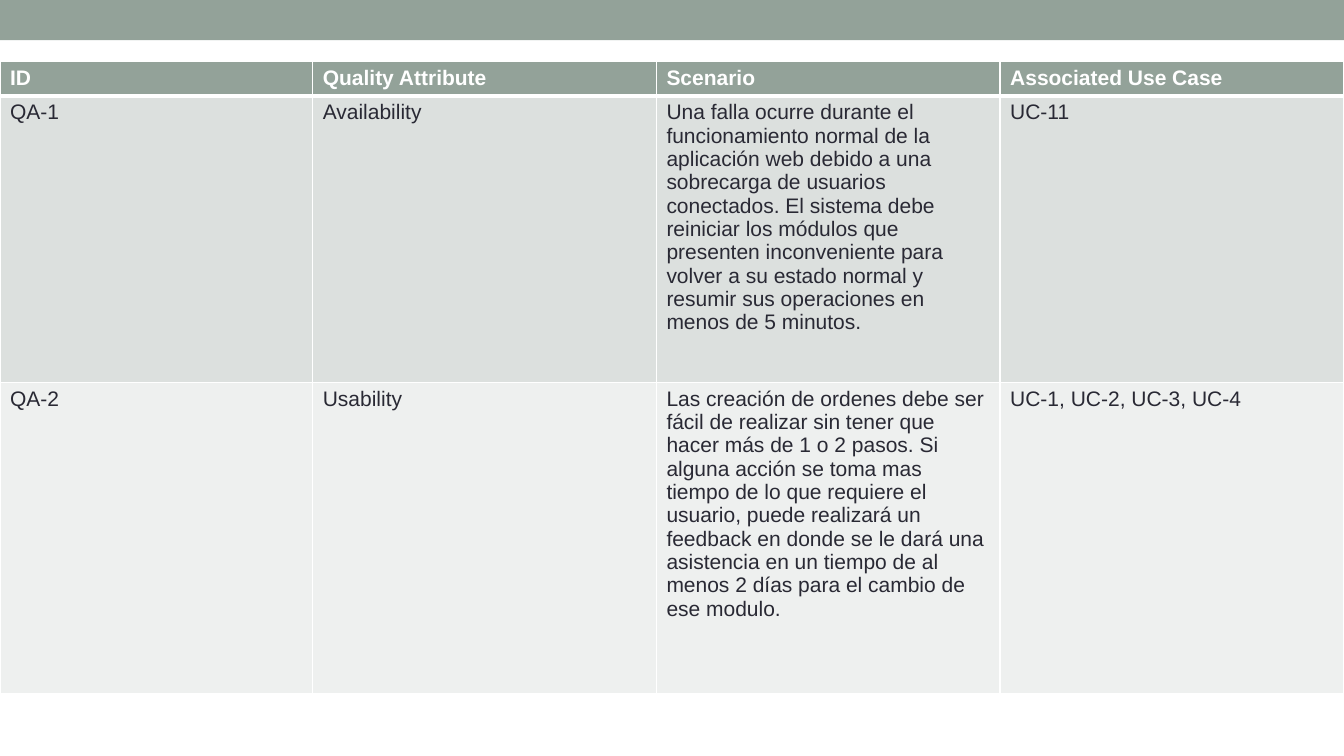
from lxml import etree
from pptx import Presentation
from pptx.dml.color import RGBColor
from pptx.enum.shapes import MSO_SHAPE
from pptx.oxml.ns import qn
from pptx.util import Pt

RECTANGLE = MSO_SHAPE.RECTANGLE

SAGE = RGBColor(0x93, 0xA2, 0x99)
BAND_DARK = RGBColor(0xDC, 0xE0, 0xDE)
BAND_LIGHT = RGBColor(0xEE, 0xF0, 0xEF)
WHITE = RGBColor(0xFF, 0xFF, 0xFF)
INK = RGBColor(0x29, 0x29, 0x34)

SLIDE_WIDTH, SLIDE_HEIGHT = 960, 540
COLUMN_WIDTHS = [223.4, 245.5, 245.5, 245.5]
ROW_HEIGHTS = [24.5, 204.5, 222.8]
ROW_FILLS = [SAGE, BAND_DARK, BAND_LIGHT]

SCENARIOS = [
    ["ID", "Quality Attribute", "Scenario", "Associated Use Case"],
    ["QA-1", "Availability",
     "Una falla ocurre durante el funcionamiento normal de la aplicación web "
     "debido a una sobrecarga de usuarios conectados. El sistema debe reiniciar "
     "los módulos que presenten inconveniente para volver a su estado normal y "
     "resumir sus operaciones en menos de 5 minutos.",
     "UC-11"],
    ["QA-2", "Usability",
     "Las creación de ordenes debe ser fácil de realizar sin tener que hacer más "
     "de 1 o 2 pasos. Si alguna acción se toma mas tiempo de lo que requiere el "
     "usuario, puede realizará un feedback en donde se le dará una asistencia en "
     "un tiempo de al menos 2 días para el cambio de ese modulo.",
     "UC-1, UC-2, UC-3, UC-4"],
]


def add_top_band(slide, left, top, width, height):
    band = slide.shapes.add_shape(RECTANGLE, Pt(left), Pt(top), Pt(width), Pt(height))
    band.shadow.inherit = False
    band.fill.solid()
    band.fill.fore_color.rgb = SAGE
    band.line.fill.background()


def set_border(cell, side, width):
    border = etree.SubElement(cell._tc.get_or_add_tcPr(), qn(f"a:{side}"), w=str(Pt(width)))
    fill = etree.SubElement(border, qn("a:solidFill"))
    etree.SubElement(fill, qn("a:srgbClr"), val=str(WHITE))


def format_cell(cell, row):
    is_header = row == 0
    # Borders go before the fill, with a thick rule under the header
    for side in ("lnL", "lnR", "lnT", "lnB"):
        thick = (row, side) in ((0, "lnB"), (1, "lnT"))
        set_border(cell, side, 3 if thick else 1)
    cell.fill.solid()
    cell.fill.fore_color.rgb = ROW_FILLS[row]
    font = cell.text_frame.paragraphs[0].font
    font.name = "Arial"
    font.size = Pt(15)
    font.bold = is_header
    font.color.rgb = WHITE if is_header else INK


def add_scenario_table(slide, left, top):
    table = slide.shapes.add_table(
        len(ROW_HEIGHTS), len(COLUMN_WIDTHS), Pt(left), Pt(top),
        Pt(sum(COLUMN_WIDTHS)), Pt(sum(ROW_HEIGHTS))).table
    for column, width in zip(table.columns, COLUMN_WIDTHS):
        column.width = Pt(width)
    for row, height in enumerate(ROW_HEIGHTS):
        table.rows[row].height = Pt(height)
        for column, text in enumerate(SCENARIOS[row]):
            cell = table.cell(row, column)
            cell.text = text
            format_cell(cell, row)


def main():
    deck = Presentation()
    deck.slide_width, deck.slide_height = Pt(SLIDE_WIDTH), Pt(SLIDE_HEIGHT)
    slide = deck.slides.add_slide(deck.slide_layouts[6])

    # Coloured band along the top edge
    add_top_band(slide, 0, 0, SLIDE_WIDTH, 28.8)
    # Quality attribute scenarios
    add_scenario_table(slide, 0, 44)

    deck.save("out.pptx")


if __name__ == "__main__":
    main()
